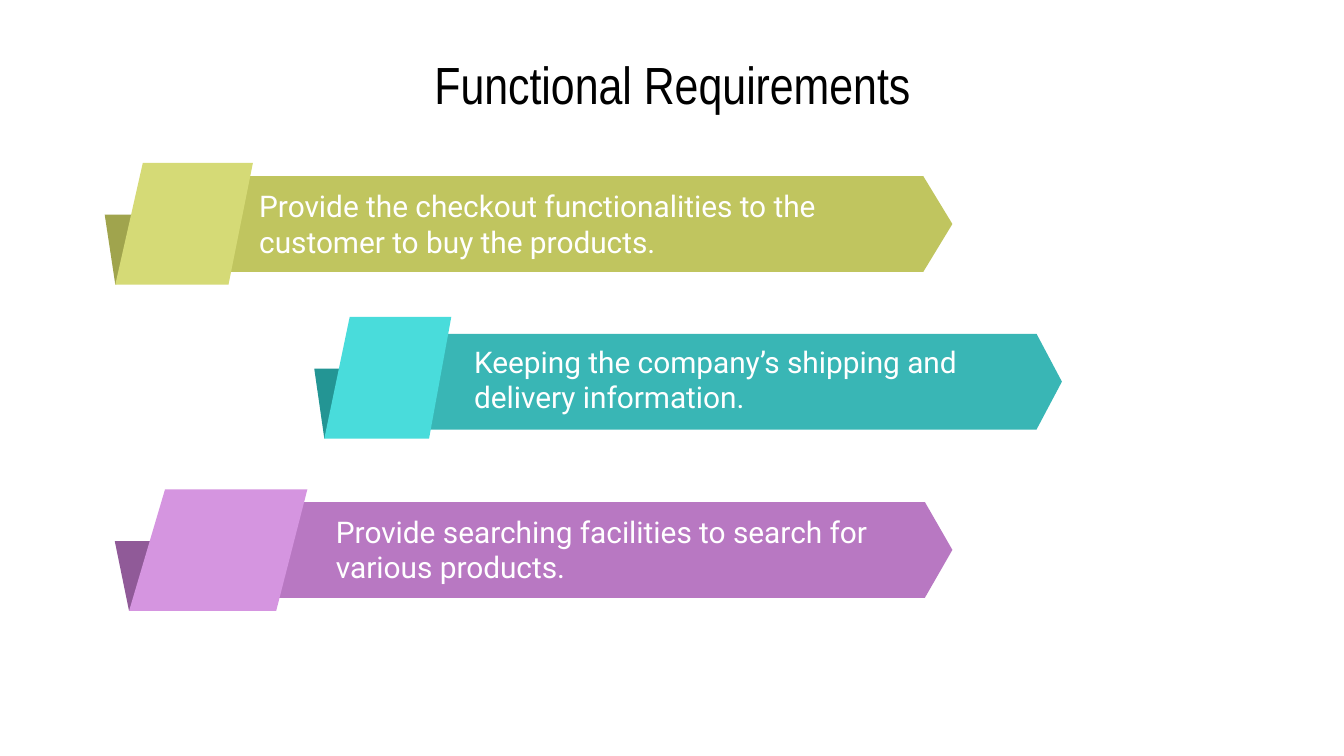
from dataclasses import dataclass

import pptx
import pptx.dml.color
import pptx.enum.text
import pptx.util

Cm = pptx.util.Cm
RGBColor = pptx.dml.color.RGBColor
Point = tuple[float, float]

BLACK = RGBColor(0x00, 0x00, 0x00)
WHITE = RGBColor(0xFF, 0xFF, 0xFF)
OLIVE_FOLD = RGBColor(0xA0, 0xA4, 0x4D)
OLIVE_BODY = RGBColor(0xC0, 0xC5, 0x5F)
OLIVE_TAB = RGBColor(0xD5, 0xDA, 0x76)
TEAL_FOLD = RGBColor(0x23, 0x95, 0x94)
TEAL_BODY = RGBColor(0x39, 0xB6, 0xB5)
TEAL_TAB = RGBColor(0x49, 0xDC, 0xDB)
PURPLE_FOLD = RGBColor(0x90, 0x5A, 0x98)
PURPLE_BODY = RGBColor(0xB8, 0x78, 0xC2)
PURPLE_TAB = RGBColor(0xD5, 0x95, 0xE0)

# Heights shared by all banners, in cm
TAB_HEIGHT = 2.3
FOLD_DROP = 0.98
FOLD_SIDE = 1.0
BODY_HEIGHT = 1.81
TEXT_INSET = 0.25


@dataclass(frozen=True)
class Banner:
    """One requirement; all lengths are in cm."""
    requirement: str
    top: float
    fold_left: float
    fold_right: float
    tab_top: Point      # left and right x of the tab's upper edge
    tab_bottom: Point   # left and right x of the tab's lower edge
    body_top: float
    body_left: float
    body_right: float
    notch: float
    text_box: tuple[float, float, float, float]
    fold_color: RGBColor
    body_color: RGBColor
    tab_color: RGBColor


BANNERS = [
    Banner("Provide the checkout functionalities to the customer to buy the products.",
           3.08, 1.98, 3.02, (2.7, 4.78), (2.18, 4.32), 3.33, 3.02, 18, 0.55,
           (4.65, 3.76, 11.73, 0.94), OLIVE_FOLD, OLIVE_BODY, OLIVE_TAB),
    Banner("Keeping the company’s shipping and delivery information.",
           5.99, 5.94, 6.91, (6.61, 8.53), (6.13, 8.11), 6.31, 7.01, 20.07, 0.48,
           (8.71, 6.35, 10.08, 1.63), TEAL_FOLD, TEAL_BODY, TEAL_TAB),
    Banner("Provide searching facilities to search for various products.",
           9.25, 2.17, 3.55, (3.12, 5.81), (2.44, 5.22), 9.49, 3.65, 18, 0.52,
           (6.1, 9.96, 11.18, 0.84), PURPLE_FOLD, PURPLE_BODY, PURPLE_TAB),
]


def draw_polygon(slide: pptx.slide.Slide, points: list[Point], color: RGBColor) -> None:
    start, *others = [(Cm(x), Cm(y)) for x, y in points]
    builder = slide.shapes.build_freeform(*start)
    builder.add_line_segments(others, close=True)
    polygon = builder.convert_to_shape()
    polygon.shadow.inherit = False
    polygon.fill.solid()
    polygon.fill.fore_color.rgb = color
    polygon.line.fill.background()


def write_text(frame: pptx.text.text.TextFrame, text: str, font: str, size: float,
               color: RGBColor, align: pptx.enum.text.PP_ALIGN) -> None:
    """Fill a frame with one wrapped, vertically centred paragraph."""
    frame.word_wrap = True
    frame.auto_size = pptx.enum.text.MSO_AUTO_SIZE.NONE
    frame.vertical_anchor = pptx.enum.text.MSO_ANCHOR.MIDDLE
    frame.margin_left = frame.margin_right = Cm(TEXT_INSET)
    frame.margin_top = frame.margin_bottom = Cm(TEXT_INSET)
    paragraph = frame.paragraphs[0]
    paragraph.alignment = align
    run = paragraph.add_run()
    run.text = text
    run.font.name = font
    run.font.size = pptx.util.Pt(size)
    run.font.color.rgb = color


def draw_banner(slide: pptx.slide.Slide, banner: Banner) -> None:
    tab_bottom = banner.top + TAB_HEIGHT
    fold_top = banner.top + FOLD_DROP
    draw_polygon(slide, [
        (banner.fold_left, fold_top),
        (banner.tab_bottom[0], tab_bottom),
        (banner.fold_right, fold_top + FOLD_SIDE),
        (banner.fold_right, fold_top),
    ], banner.fold_color)

    body_middle = banner.body_top + BODY_HEIGHT / 2
    body_bottom = banner.body_top + BODY_HEIGHT
    inner_left = banner.body_left + banner.notch
    inner_right = banner.body_right - banner.notch
    draw_polygon(slide, [
        (inner_left, banner.body_top),
        (banner.body_left, body_middle),
        (inner_left, body_bottom),
        (inner_right, body_bottom),
        (banner.body_right, body_middle),
        (inner_right, banner.body_top),
    ], banner.body_color)

    draw_polygon(slide, [
        (banner.tab_top[0], banner.top),
        (banner.tab_bottom[0], tab_bottom),
        (banner.tab_bottom[1], tab_bottom),
        (banner.tab_top[1], banner.top),
    ], banner.tab_color)

    requirement = slide.shapes.add_textbox(*map(Cm, banner.text_box))
    write_text(requirement.text_frame, banner.requirement, "Roboto", 16, WHITE,
               pptx.enum.text.PP_ALIGN.LEFT)


def main() -> None:
    presentation = pptx.Presentation()
    presentation.slide_width = Cm(25.4)
    presentation.slide_height = Cm(14.29)
    slide = presentation.slides.add_slide(presentation.slide_layouts[5])

    title = slide.shapes.title
    title.left, title.top, title.width, title.height = map(Cm, (6.99, 1.14, 11.43, 0.89))
    write_text(title.text_frame, "Functional Requirements", "Arial Narrow", 28, BLACK,
               pptx.enum.text.PP_ALIGN.CENTER)

    for banner in BANNERS:
        draw_banner(slide, banner)

    presentation.save("out.pptx")


if __name__ == "__main__":
    main()
